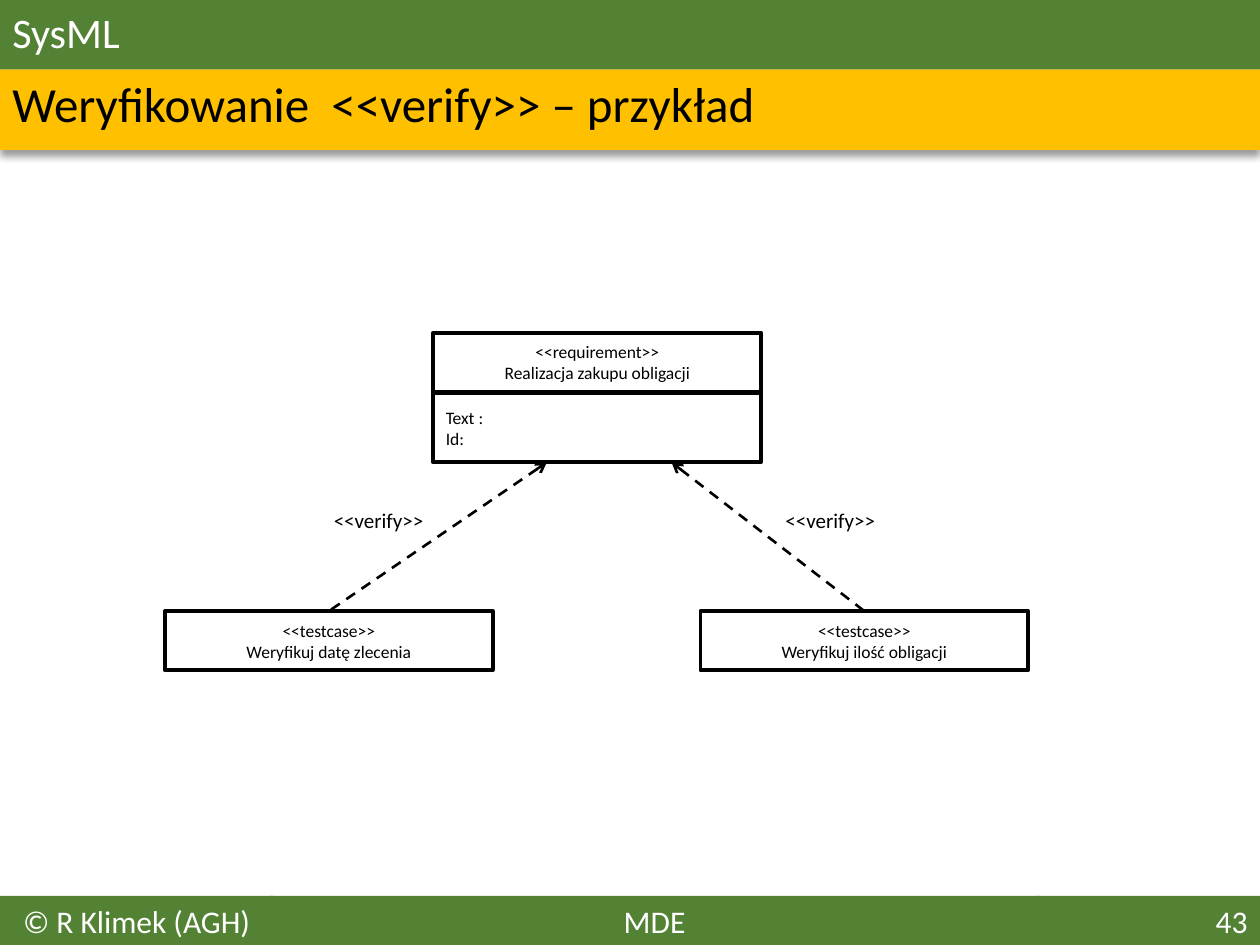
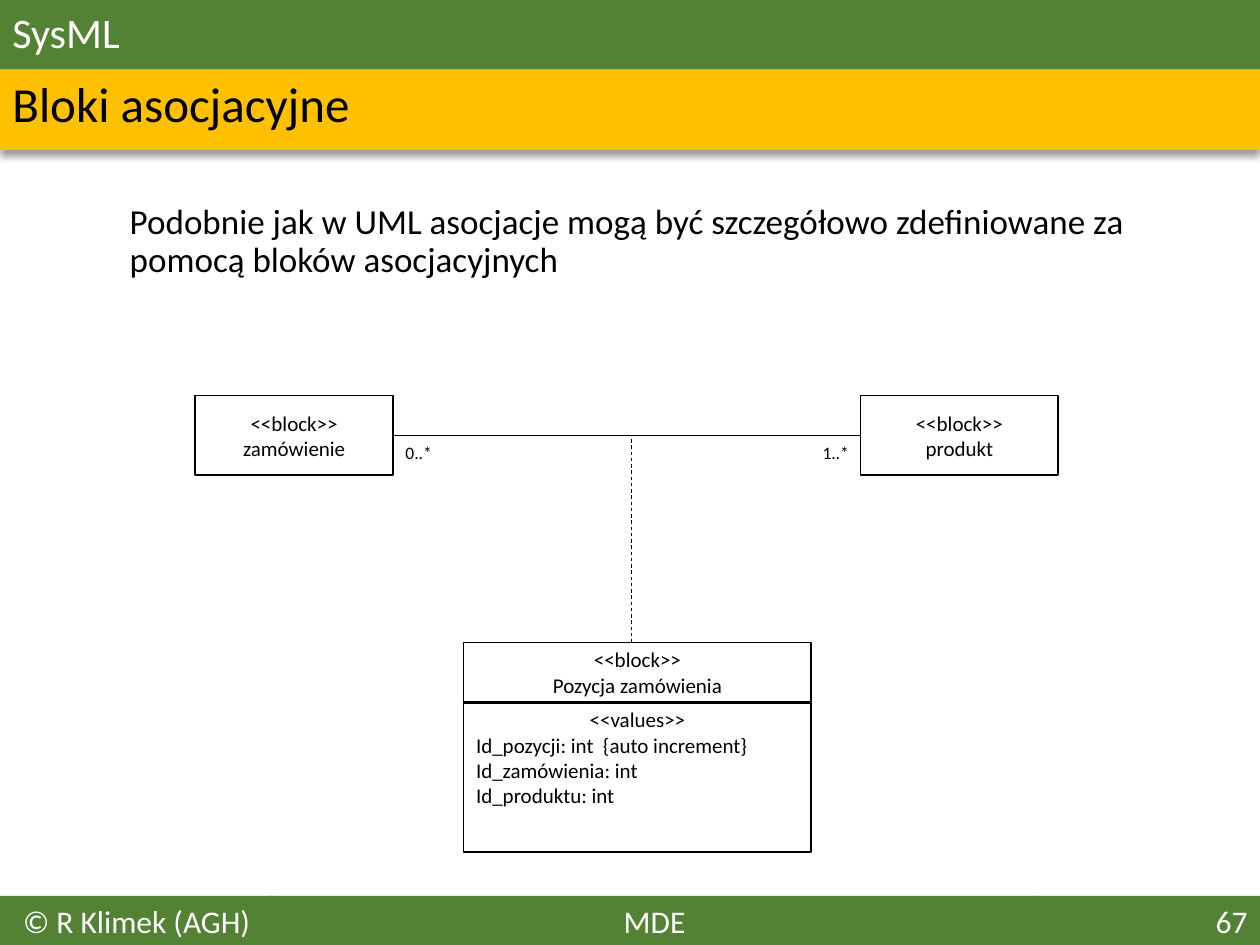
from dataclasses import dataclass

from lxml import etree
from pptx import Presentation
from pptx.dml.color import RGBColor
from pptx.enum.dml import MSO_LINE
from pptx.enum.shapes import MSO_CONNECTOR, MSO_SHAPE
from pptx.enum.text import MSO_ANCHOR, PP_ALIGN
from pptx.oxml.ns import qn
from pptx.util import Inches, Pt

LEFT, CENTER, RIGHT = PP_ALIGN.LEFT, PP_ALIGN.CENTER, PP_ALIGN.RIGHT
TOP, MIDDLE = MSO_ANCHOR.TOP, MSO_ANCHOR.MIDDLE
RECTANGLE, PROCESS = MSO_SHAPE.RECTANGLE, MSO_SHAPE.FLOWCHART_PROCESS
STRAIGHT = MSO_CONNECTOR.STRAIGHT
DASH = MSO_LINE.DASH
SIDE_TOP, SIDE_LEFT, SIDE_RIGHT = 0, 1, 3


@dataclass(frozen=True)
class Theme:
    font: str = "Calibri"
    green: RGBColor = RGBColor(0x54, 0x82, 0x35)
    amber: RGBColor = RGBColor(0xFF, 0xC0, 0x00)
    ink: RGBColor = RGBColor(0x00, 0x00, 0x00)
    paper: RGBColor = RGBColor(0xFF, 0xFF, 0xFF)
    subtitle: int = 28
    title: int = 24
    statement: int = 20
    footer: int = 18
    label: int = 12
    small: int = 10
    tight: float = 0.9


THEME = Theme()
SLIDE_WIDTH, SLIDE_HEIGHT = 10, 7.5
TITLE_HEIGHT = 0.55
FOOTER_TOP = 7.11


def write_text(shape, text, size, color=THEME.ink, align=LEFT, first_align=None,
               anchor=TOP, spacing=None, margin_left=0.1, margin_top=0.05):
    """Write one paragraph per line; first_align overrides the first one."""
    frame = shape.text_frame
    frame.word_wrap = True
    frame.vertical_anchor = anchor
    frame.margin_left, frame.margin_top = Inches(margin_left), Inches(margin_top)
    frame.text = text
    for paragraph in frame.paragraphs:
        paragraph.alignment = align
        paragraph.line_spacing = spacing
        font = paragraph.runs[0].font
        font.name, font.size, font.color.rgb = THEME.font, Pt(size), color
    if first_align is not None:
        frame.paragraphs[0].alignment = first_align


def add_label(slide, text, left, top, width, height, size, **text_format):
    label = slide.shapes.add_textbox(*map(Inches, (left, top, width, height)))
    write_text(label, text, size, **text_format)


def add_band(slide, left, top, width, height, color):
    band = slide.shapes.add_shape(
        RECTANGLE, *map(Inches, (left, top, width, height)))
    band.shadow.inherit = False
    band.fill.solid()
    band.fill.fore_color.rgb = color
    band.line.fill.background()
    return band


def add_compartment(slide, text, left, top, width, height, size, line_width,
                    outline=RECTANGLE, align=CENTER, anchor=MIDDLE, **text_format):
    """Add one outlined compartment of a diagram block."""
    compartment = slide.shapes.add_shape(
        outline, *map(Inches, (left, top, width, height)))
    compartment.shadow.inherit = False
    compartment.fill.background()
    compartment.line.color.rgb = THEME.ink
    compartment.line.width = Pt(line_width)
    write_text(compartment, text, size, align=align, anchor=anchor, **text_format)
    return compartment


def add_link(slide, start, end, line_width, dash=None, arrow_at_start=False):
    link = slide.shapes.add_connector(STRAIGHT, *map(Inches, (*start, *end)))
    link.line.color.rgb = THEME.ink
    link.line.width = Pt(line_width)
    if dash is not None:
        link.line.dash_style = dash
    properties = link._element.spPr
    if arrow_at_start:
        etree.SubElement(properties.find(qn("a:ln")), qn("a:headEnd"), type="arrow")
    etree.SubElement(properties, qn("a:effectLst"))
    return link


def cast_shadow(band):
    """Give the band a soft shadow falling straight down."""
    effects = band._element.spPr.find(qn("a:effectLst"))
    shadow = etree.SubElement(
        effects, qn("a:outerShdw"), blurRad=str(Pt(4)), dist=str(Pt(3)),
        dir="5400000", algn="t", rotWithShape="0")
    color = etree.SubElement(shadow, qn("a:srgbClr"), val=str(THEME.ink))
    etree.SubElement(color, qn("a:alpha"), val="40000")


def add_framed_slide(deck, subtitle, number):
    """Add a slide with the course title, its own subtitle and the footer."""
    slide = deck.slides.add_slide(deck.slide_layouts[6])
    cast_shadow(add_band(slide, 0, TITLE_HEIGHT, SLIDE_WIDTH, 0.64, THEME.amber))
    add_label(slide, subtitle, 0, TITLE_HEIGHT, 9.98, 0.59, THEME.subtitle,
              anchor=MIDDLE, spacing=THEME.tight)
    title = add_band(slide, 0, 0, SLIDE_WIDTH, TITLE_HEIGHT, THEME.green)
    write_text(title, "SysML", THEME.title, THEME.paper, anchor=MIDDLE,
               spacing=THEME.tight)
    for text, left, width, align in (
            ("MDE", 2.14, 6.11, CENTER),
            ("© R Klimek (AGH)", 0, 2.17, CENTER),
            (str(number), 8.22, 1.78, RIGHT)):
        footer = add_band(slide, left, FOOTER_TOP, width,
                          SLIDE_HEIGHT - FOOTER_TOP, THEME.green)
        write_text(footer, text, THEME.footer, THEME.paper, align)
    return slide


def build_verify_slide(deck):
    slide = add_framed_slide(deck, "Weryfikowanie  <<verify>> – przykład", 43)
    width, header_height, line_width = 2.6, 0.47, 2.25
    left, top, text_height = 3.44, 3.12, 0.55
    bottom, testcase_top = top + text_height, 4.85

    add_compartment(slide, "<<requirement>>\nRealizacja zakupu obligacji",
                    left, 2.64, width, header_height, THEME.small, line_width)
    add_compartment(slide, "Text :\nId:", left, top, width, text_height,
                    THEME.small, line_width, align=LEFT)

    for name, testcase_left, arrow_x, label_left, label_width in (
            ("Weryfikuj datę zlecenia", 1.31, 4.34, 2.02, 1.97),
            ("Weryfikuj ilość obligacji", 5.56, 5.33, 5.88, 1.42)):
        testcase = add_compartment(
            slide, f"<<testcase>>\n{name}", testcase_left, testcase_top,
            width, header_height, THEME.small, line_width)
        verify = add_link(slide, (arrow_x, bottom),
                          (testcase_left + width / 2, testcase_top),
                          1.5, DASH, arrow_at_start=True)
        verify.end_connect(testcase, SIDE_TOP)
        add_label(slide, "<<verify>>", label_left, 3.98, label_width, 0.3,
                  THEME.label, align=CENTER)


def build_association_slide(deck):
    slide = add_framed_slide(deck, "Bloki asocjacyjne", 67)
    add_label(slide, "Podobnie jak w UML asocjacje mogą być szczegółowo "
              "zdefiniowane za pomocą bloków asocjacyjnych",
              0.68, 1.57, 8.36, 0.94, THEME.statement,
              spacing=THEME.tight, margin_left=0.35)

    block_top, block_width, block_height = 3.14, 1.57, 0.63
    order_left, product_left = 1.55, 6.83
    order, product = (
        add_compartment(slide, f"<<block>>\n{name}", left, block_top, block_width,
                        block_height, THEME.label, 1, PROCESS)
        for name, left in (("zamówienie", order_left), ("produkt", product_left)))

    item_left, item_top, item_width = 3.68, 5.1, 2.76
    add_compartment(slide, "<<block>>\nPozycja zamówienia", item_left, item_top,
                    item_width, 0.47, THEME.label, 1, PROCESS)
    add_compartment(slide, "<<values>>\nId_pozycji: int  {auto increment}\n"
                    "Id_zamówienia: int\nId_produktu: int",
                    item_left, 5.58, item_width, 1.18, THEME.label, 1, PROCESS,
                    align=LEFT, first_align=CENTER, anchor=TOP, margin_top=0.03)

    axis_y = block_top + block_height / 2
    association = add_link(slide, (order_left + block_width, axis_y),
                           (product_left, axis_y), 0.5)
    association.begin_connect(order, SIDE_RIGHT)
    association.end_connect(product, SIDE_LEFT)
    add_link(slide, (5.01, item_top), (5.01, axis_y), 0.5, DASH)
    for multiplicity, left in (("0..*", 3.12), ("1..*", 6.43)):
        add_label(slide, multiplicity, left, axis_y, 0.46, 0.27, THEME.small)


def main():
    deck = Presentation()
    deck.slide_width, deck.slide_height = Inches(SLIDE_WIDTH), Inches(SLIDE_HEIGHT)
    build_verify_slide(deck)
    build_association_slide(deck)
    deck.save("out.pptx")


if __name__ == "__main__":
    main()
